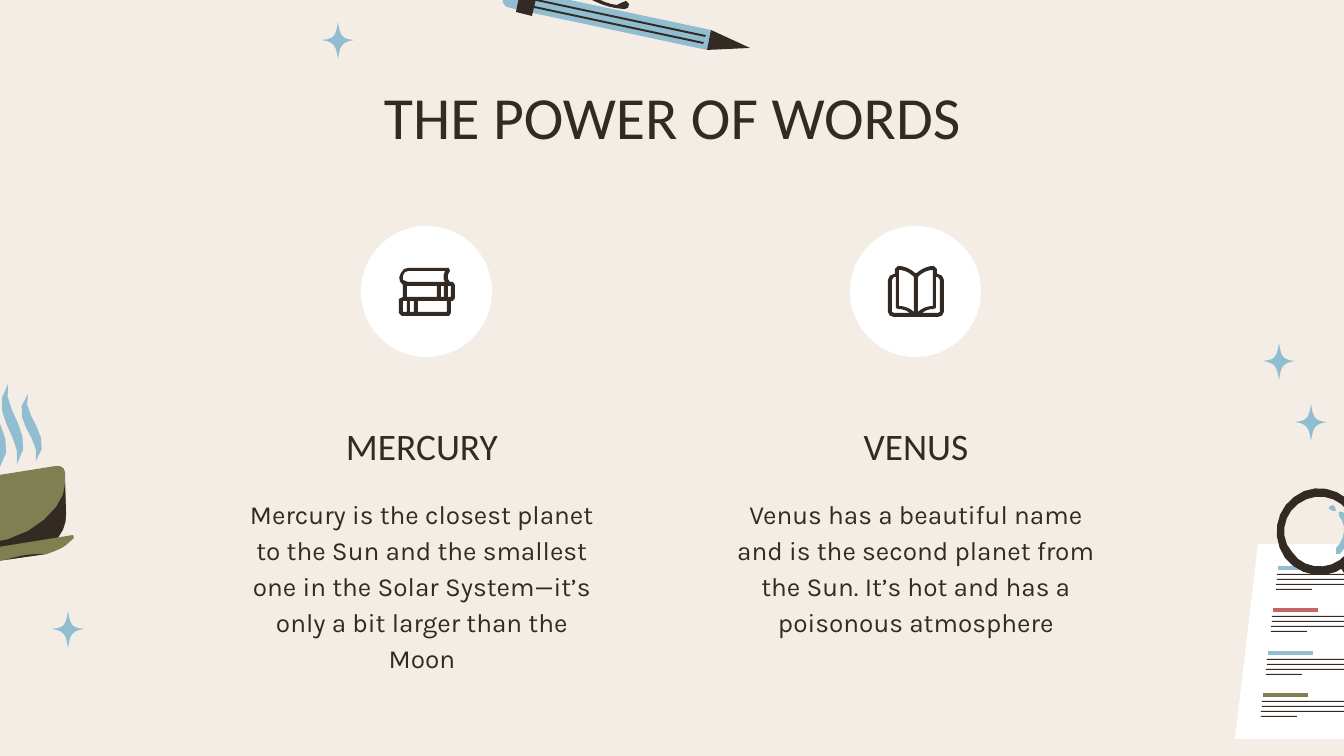
import math

from lxml import etree
from pptx import Presentation
from pptx import util as u
from pptx.dml.color import RGBColor
from pptx.enum import shapes, text
from pptx.oxml.ns import qn

EMU_PER_PX = 914400 / 134.4
CREAM = RGBColor(0xF3, 0xED, 0xE6)
INK = RGBColor(0x32, 0x2A, 0x23)
BLUE = RGBColor(0x91, 0xBD, 0xD1)
OLIVE = RGBColor(0x7E, 0x80, 0x51)
RED = RGBColor(0xC3, 0x66, 0x66)
WHITE = RGBColor(0xFF, 0xFF, 0xFF)


def px(n):
    return u.Emu(round(n * EMU_PER_PX))


def box(x, y, w, h):
    """Return the outline path of a rectangle."""
    return f"M{x} {y} L{x + w} {y} L{x + w} {y + h} L{x} {y + h} Z "


def bezier(curve):
    """Sample a cubic curve, with more points the longer it is."""
    steps = max(1, min(6, round(math.dist(curve[0], curve[3]) / 4)))
    for i in range(1, steps + 1):
        t = i / steps
        k = ((1 - t) ** 3, 3 * t * (1 - t) ** 2, 3 * t * t * (1 - t), t ** 3)
        yield tuple(sum(f * p[d] for f, p in zip(k, curve)) for d in (0, 1))


def contours(path):
    """Turn a path of M, L, C and Z commands into lists of points."""
    for cmd in "MLCZ":
        path = path.replace(cmd, f"|{cmd} ")
    result = []
    for part in path.split("|")[1:]:
        cmd, *nums = part.split()
        pts = [(int(a), int(b)) for a, b in zip(nums[::2], nums[1::2])]
        if cmd == "M":
            result.append(pts)
        elif cmd == "L":
            result[-1] += pts
        elif cmd == "C":
            result[-1] += list(bezier([result[-1][-1]] + pts))
    return result


def write(tf, words, font="Calibri", size=14, color=INK, spacing=1.0,
          anchor=text.MSO_ANCHOR.TOP):
    """Put one centred, unbulleted paragraph into a text frame."""
    tf.word_wrap = True
    tf.auto_size = text.MSO_AUTO_SIZE.NONE
    tf.vertical_anchor = anchor
    tf.margin_left = tf.margin_right = tf.margin_top = tf.margin_bottom = u.Inches(0.1)
    p = tf.paragraphs[0]
    p.alignment = text.PP_ALIGN.CENTER
    p.line_spacing = spacing
    p.space_before = p.space_after = u.Pt(0)
    pPr = p._p.get_or_add_pPr()
    pPr.set("marL", "0")
    pPr.set("indent", "0")
    etree.SubElement(pPr, qn("a:buNone"))
    r = p.add_run()
    r.text = words
    r.font.name, r.font.size, r.font.bold = font, u.Pt(size), False
    r.font.color.rgb = color


class Deck:
    def __init__(self, width, height):
        self.prs = Presentation()
        self.prs.slide_width, self.prs.slide_height = px(width), px(height)

    def slide(self, layout, background):
        self.s = self.prs.slides.add_slide(self.prs.slide_layouts[layout])
        fill = self.s.background.fill
        fill.solid()
        fill.fore_color.rgb = background

    def paint(self, sp, color):
        sp.shadow.inherit = False
        sp.fill.solid()
        sp.fill.fore_color.rgb = color
        sp.line.fill.background()

    def placeholder(self, idx, x, y, w, h, words, **style):
        sp = next(ph for ph in self.s.placeholders if ph.placeholder_format.idx == idx)
        sp.left, sp.top, sp.width, sp.height = map(px, (x, y, w, h))
        write(sp.text_frame, words, **style)

    def outline(self, path, color, dx=0, dy=0):
        """Draw a filled path, moved by dx and dy; inner contours become holes."""
        builder = None
        for pts in contours(path):
            pts = [(px(a + dx), px(b + dy)) for a, b in pts]
            if builder is None:
                builder = self.s.shapes.build_freeform(*pts[0])
            else:
                builder.move_to(*pts[0])
            builder.add_line_segments(pts[1:], close=True)
        self.paint(builder.convert_to_shape(), color)

    def circle(self, x, y, d, color):
        sp = self.s.shapes.add_shape(shapes.MSO_SHAPE.OVAL, px(x), px(y), px(d), px(d))
        self.paint(sp, color)


SPARKLE = "M32 18 C20 20 18 23 16 37 C14 23 12 20 0 18 C12 17 14 14 16 0 C18 14 20 17 32 18 Z"
TALL_STEAM = "M8 384 C-13 414 23 437 17 464 C38 435 1 410 8 384 Z"
PEN_STRIPE = "M704 42 L703 44 L534 8 L532 7 L534 6 L703 42 Z"

CUP = [
    ("M12 552 L38 548 C55 546 67 531 66 513 L65 472 C65 468 60 465 56 466 L-32 480 "
     "C-36 481 -38 485 -38 489 L-26 530 C-22 546 -5 556 12 552 Z", OLIVE),
    ("M65 484 L66 513 C67 531 55 546 38 548 L12 552 C1 555 -9 551 -17 544 "
     "C36 540 66 503 65 484 Z", INK),
    ("M5 560 L47 554 C52 552 59 550 65 546 L74 538 C77 536 75 533 73 535 L-26 551 "
     "C-28 551 -28 554 -26 555 L-13 559 C-8 561 -1 562 5 560 Z", OLIVE),
    ("M26 555 C32 554 40 554 46 554 L5 560 C12 558 19 556 26 555 Z", INK),
    ("M28 394 C7 419 42 438 36 461 C56 437 20 415 28 394 Z", BLUE),
    (TALL_STEAM, BLUE),
    (TALL_STEAM, BLUE, -17, 3),
]
PEN = [
    ("M530 -8 L526 12 L511 8 C505 8 501 3 503 -3 C504 -8 509 -12 515 -11 Z", BLUE),
    ("M528 12 L532 -8 L711 30 L707 50 Z", BLUE),
    ("M707 50 L711 30 L750 48 Z", INK),
    (PEN_STRIPE, INK),
    (PEN_STRIPE, INK, 2, -7),
    ("M516 12 L521 -12 L538 -9 L532 16 Z", INK),
    ("M574 -13 C548 -27 527 -22 521 -12 L538 -9 C547 -20 579 -8 594 1 "
     "C610 9 625 9 625 9 C628 9 629 7 629 4 L626 1 L621 3 L617 5 "
     "C605 4 595 -3 574 -13 Z", INK),
]
MAGNIFIER = [
    ("M1336 554 L1340 554 C1352 542 1352 524 1343 512 L1339 512 L1339 516 "
     "C1347 525 1345 540 1336 548 Z", BLUE),
    ("M1329 509 L1333 511 L1336 511 L1335 507 L1333 505 L1329 507 Z", BLUE),
    ("M1285 558 C1300 577 1327 581 1346 566 C1365 552 1369 525 1355 507 "
     "C1340 487 1313 482 1294 497 C1275 511 1271 538 1285 558 Z "
     "M1292 552 C1279 538 1283 515 1298 504 C1314 492 1336 495 1348 511 "
     "C1360 527 1356 548 1340 560 C1325 571 1302 568 1292 552 Z", INK),
    ("M1357 591 C1360 594 1368 587 1365 585 L1347 560 L1339 566 Z", INK),
]
BOOK_STACK = (
    "M408 268 C405 268 403 269 401 273 C398 277 399 282 403 285 L403 297 "
    "L399 299 L399 313 L402 316 L449 316 L451 313 L451 301 L453 301 L455 298 L455 285 "
    "L453 282 L450 282 C447 280 447 274 450 271 L449 268 Z "
    "M445 271 C443 276 443 279 445 282 L408 282 C406 282 404 281 403 280 "
    "C402 276 404 271 408 271 Z "
    + "".join(box(x, 286, w, 11) for x, w in ((407, 30), (441, 3), (448, 3)))
    + "".join(box(x, 301, w, 11) for x, w in ((403, 4), (410, 4), (418, 29))))
OPEN_BOOK = (
    "M898 266 L895 269 L895 274 L894 274 C891 274 888 277 888 280 L888 312 "
    "C888 315 891 317 894 317 L938 317 C941 317 944 315 944 312 L944 280 "
    "C944 277 941 274 938 274 L937 274 L937 269 L934 266 "
    "C928 266 921 269 917 273 L915 273 C911 269 904 266 898 266 Z "
    "M899 270 C903 270 909 272 913 276 L914 277 L914 312 C910 308 904 306 899 306 Z "
    "M933 270 C929 270 923 272 919 276 L918 277 L918 312 C922 308 928 306 933 306 Z "
    "M896 277 L896 308 L898 309 C902 309 906 310 910 313 L894 313 L892 312 L892 280 L894 277 Z "
    "M936 277 L936 308 L934 309 C930 309 926 310 922 313 L938 313 L940 312 L940 280 L938 277 Z")
COLUMNS = [
    (228, 361, BOOK_STACK, "MERCURY", "Mercury is the closest planet to the Sun and the smallest "
     "one in the Solar System—it’s only a bit larger than the Moon"),
    (722, 850, OPEN_BOOK, "VENUS", "Venus has a beautiful name and is the second planet from "
     "the Sun. It’s hot and has a poisonous atmosphere"),
]


def main():
    deck = Deck(1344, 756)
    deck.slide(4, CREAM)
    for x, y in ((1263, 343), (52, 611), (1295, 404), (322, 22)):
        deck.outline(SPARKLE, BLUE, x, y)
    for part in CUP:
        deck.outline(*part)

    deck.outline("M1379 739 L1235 739 L1258 544 L1403 544 Z", WHITE)
    for i, color in enumerate((BLUE, RED, BLUE, OLIVE)):
        x, y = 1278 - 5 * i, 566 + 85 * i // 2
        deck.outline(box(x, y, 45, 4), color)
        deck.outline("".join(box(x - 1 - j // 2, y + 8 + 5 * j, width, 1)
                             for j, width in enumerate((99, 99, 99, 36))), INK)
    for part in PEN + MAGNIFIER:
        deck.outline(*part)

    deck.placeholder(0, 106, 66, 1133, 95, "THE POWER OF WORDS", size=32)
    for i, (x, circle_x, icon, heading, body) in enumerate(COLUMNS):
        deck.placeholder(1 + 2 * i, x, 399, 388, 82, heading, size=20, spacing=1.15,
                         anchor=text.MSO_ANCHOR.BOTTOM)
        deck.placeholder(2 + 2 * i, x, 480, 388, 168, body, font="Karla", spacing=1.15)
        deck.circle(circle_x, 226, 131, WHITE)
        deck.outline(icon, INK)
    deck.prs.save("out.pptx")


if __name__ == "__main__":
    main()
